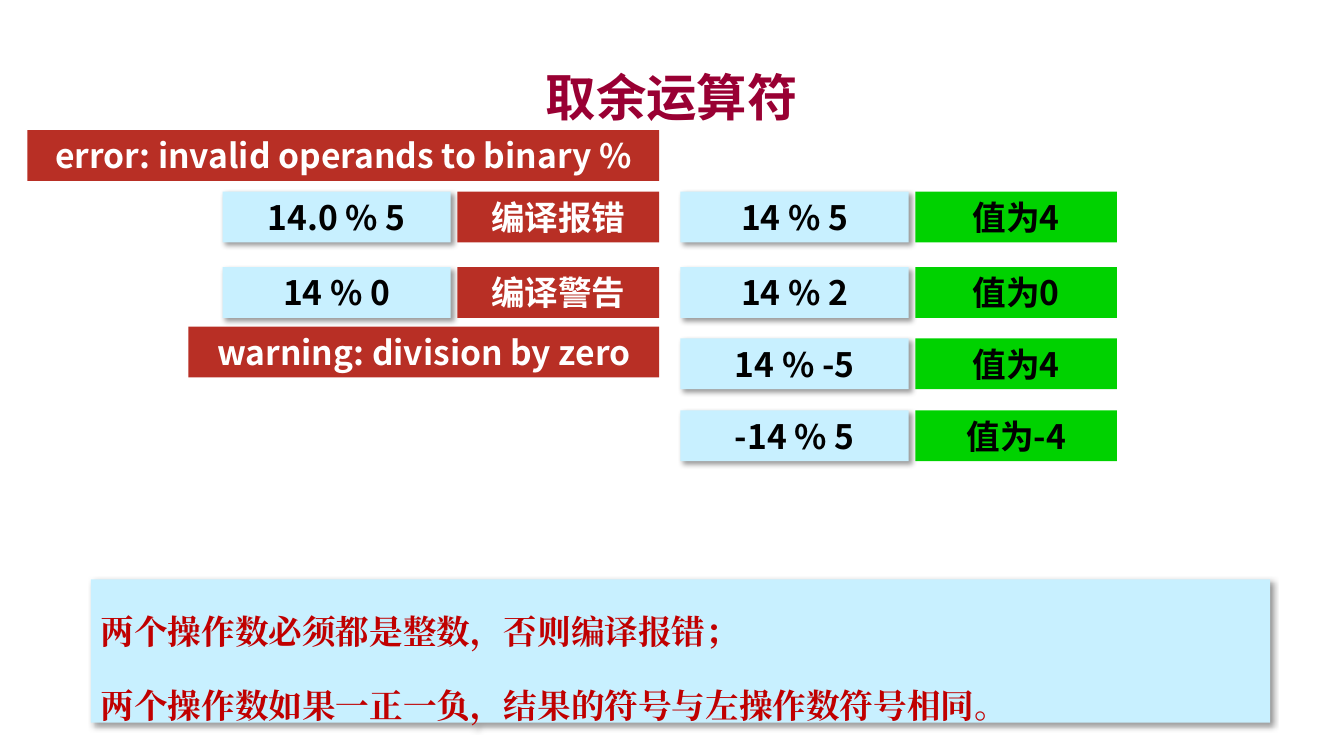
from lxml import etree
from pptx import Presentation
from pptx.dml.color import RGBColor
from pptx.enum.shapes import MSO_SHAPE
from pptx.enum.text import MSO_ANCHOR, PP_ALIGN
from pptx.oxml.ns import qn
from pptx.util import Cm, Pt

RECT = MSO_SHAPE.RECTANGLE
MIDDLE = MSO_ANCHOR.MIDDLE
CENTER, LEFT = PP_ALIGN.CENTER, PP_ALIGN.LEFT

# Content
TITLE = "取余运算符"
VALID = [("14 % 5", "值为4"), ("14 % 2", "值为0"),
         ("14 % -5", "值为4"), ("-14 % 5", "值为-4")]
INVALID = [("14.0 % 5", "编译报错"), ("14 % 0", "编译警告")]
# compiler message, top, width
MESSAGES = [("error: invalid operands to binary %", 3.28, 15.92),
            ("warning: division by zero", 8.23, 11.86)]
RULES = ["两个操作数必须都是整数，否则编译报错；",
         "两个操作数如果一正一负，结果的符号与左操作数符号相同。"]

COLORS = {"title": "990033", "pale": "C8F0FF", "green": "00D200", "red": "B82F25",
          "rule": "C00000", "black": "000000", "white": "FFFFFF"}
SANS, SERIF = "Noto Sans CJK SC", "Times New Roman"

# Layout in centimetres
ROW_TOPS = [4.83, 6.73, 8.53, 10.34]
BOX_H = 1.28
EXPRESSION_W, RESULT_W = 5.75, 5.08
RESULT_OFFSET = 5.92
INVALID_X, VALID_X = 5.61, 17.15
INVALID_RIGHT = INVALID_X + RESULT_OFFSET + RESULT_W

prs = Presentation()
prs.slide_width, prs.slide_height = Cm(33.87), Cm(19.05)
slide = prs.slides.add_slide(prs.slide_layouts[6])


def write(shape, lines, *, color="black", font=SANS, size=24, align=CENTER,
          wrap=False, line_spacing=None, gap=0):
    frame = shape.text_frame
    frame.word_wrap = wrap
    frame.vertical_anchor = MIDDLE
    for i, line in enumerate(lines):
        paragraph = frame.add_paragraph() if i else frame.paragraphs[0]
        paragraph.alignment = align
        if line_spacing:
            paragraph.line_spacing = line_spacing
        if i and gap:
            paragraph.space_before = Pt(gap)
        run = paragraph.add_run()
        run.text = line
        run.font.name, run.font.size, run.font.bold = font, Pt(size), True
        run.font.color.rgb = RGBColor.from_string(COLORS[color])
        east_asian = etree.Element(qn("a:ea"), typeface=font)
        run.font._element.find(qn("a:latin")).addnext(east_asian)


def add_shadow(shape):
    effects = shape._element.spPr.find(qn("a:effectLst"))
    shadow = etree.SubElement(effects, qn("a:outerShdw"), blurRad=str(Pt(4)),
                              dist=str(Pt(3)), dir="2700000", algn="tl", rotWithShape="0")
    tint = etree.SubElement(shadow, qn("a:srgbClr"), val=COLORS["black"])
    etree.SubElement(tint, qn("a:alpha"), val="40000")


def add_box(x, y, width, height, fill):
    box = slide.shapes.add_shape(RECT, Cm(x), Cm(y), Cm(width), Cm(height))
    box.shadow.inherit = False
    box.fill.solid()
    box.fill.fore_color.rgb = RGBColor.from_string(COLORS[fill])
    box.line.fill.background()
    if fill == "pale":
        add_shadow(box)
    return box


# Title
title = slide.shapes.add_textbox(Cm(2.54), Cm(1.47), Cm(28.78), Cm(1.9))
write(title, [TITLE], color="title", size=36, wrap=True)

# Rules, pushed down by the same gap that separates them
rules = add_box(2.29, 14.6, 29.72, 3.61, "pale")
rules.text_frame.margin_top = Cm(0.13) + Pt(10)
write(rules, RULES, color="rule", font=SERIF, align=LEFT, line_spacing=1.5, gap=10)

# Expressions and their results
for examples, left, fill, ink in ((VALID, VALID_X, "green", "black"),
                                  (INVALID, INVALID_X, "red", "white")):
    for (expression, result), top in zip(examples, ROW_TOPS):
        write(add_box(left, top, EXPRESSION_W, BOX_H, "pale"), [expression])
        write(add_box(left + RESULT_OFFSET, top, RESULT_W, BOX_H, fill), [result], color=ink)

# Compiler messages, flush with the right edge of the invalid results
for message, top, width in MESSAGES:
    write(add_box(INVALID_RIGHT - width, top, width, BOX_H, "red"), [message], color="white")

prs.save("out.pptx")
